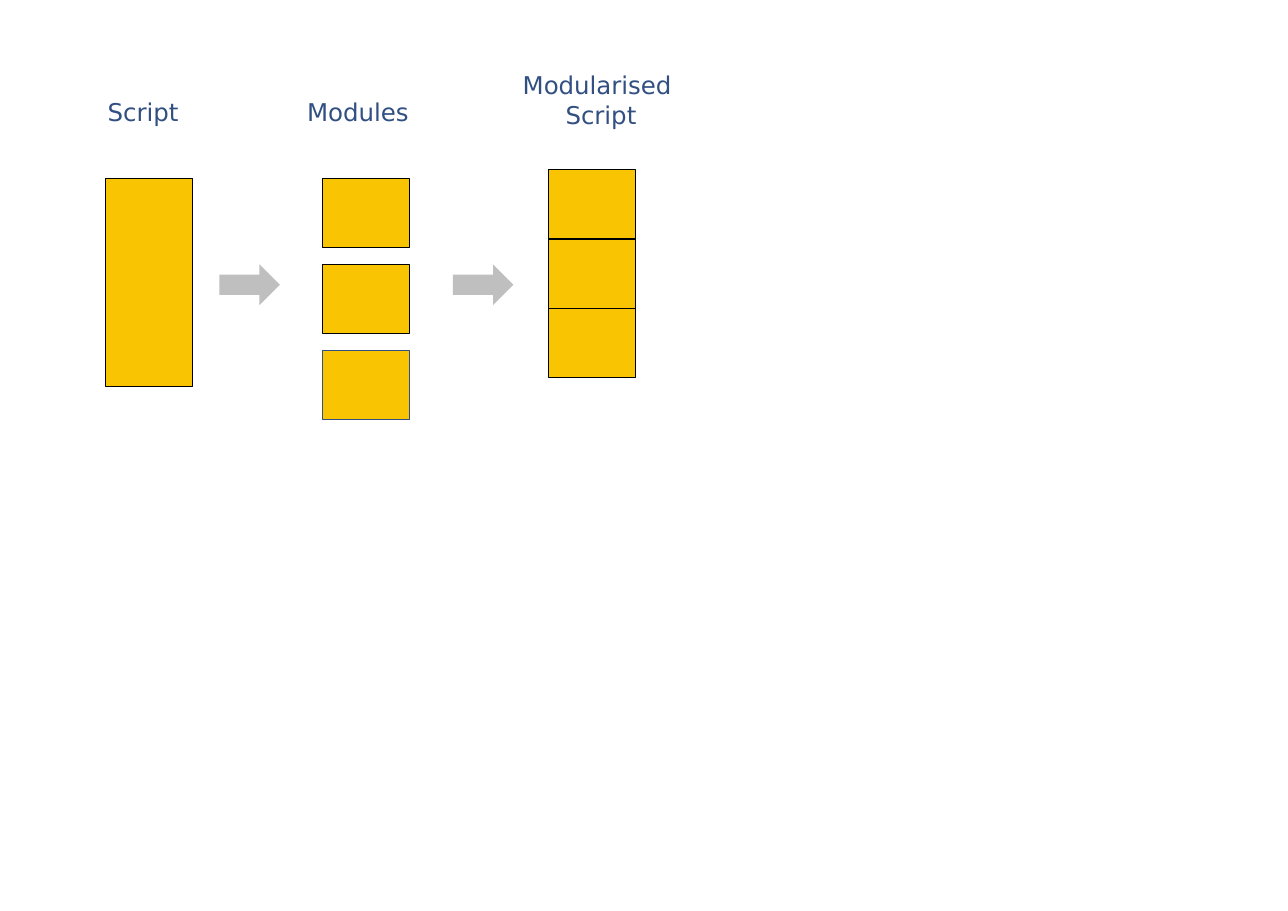
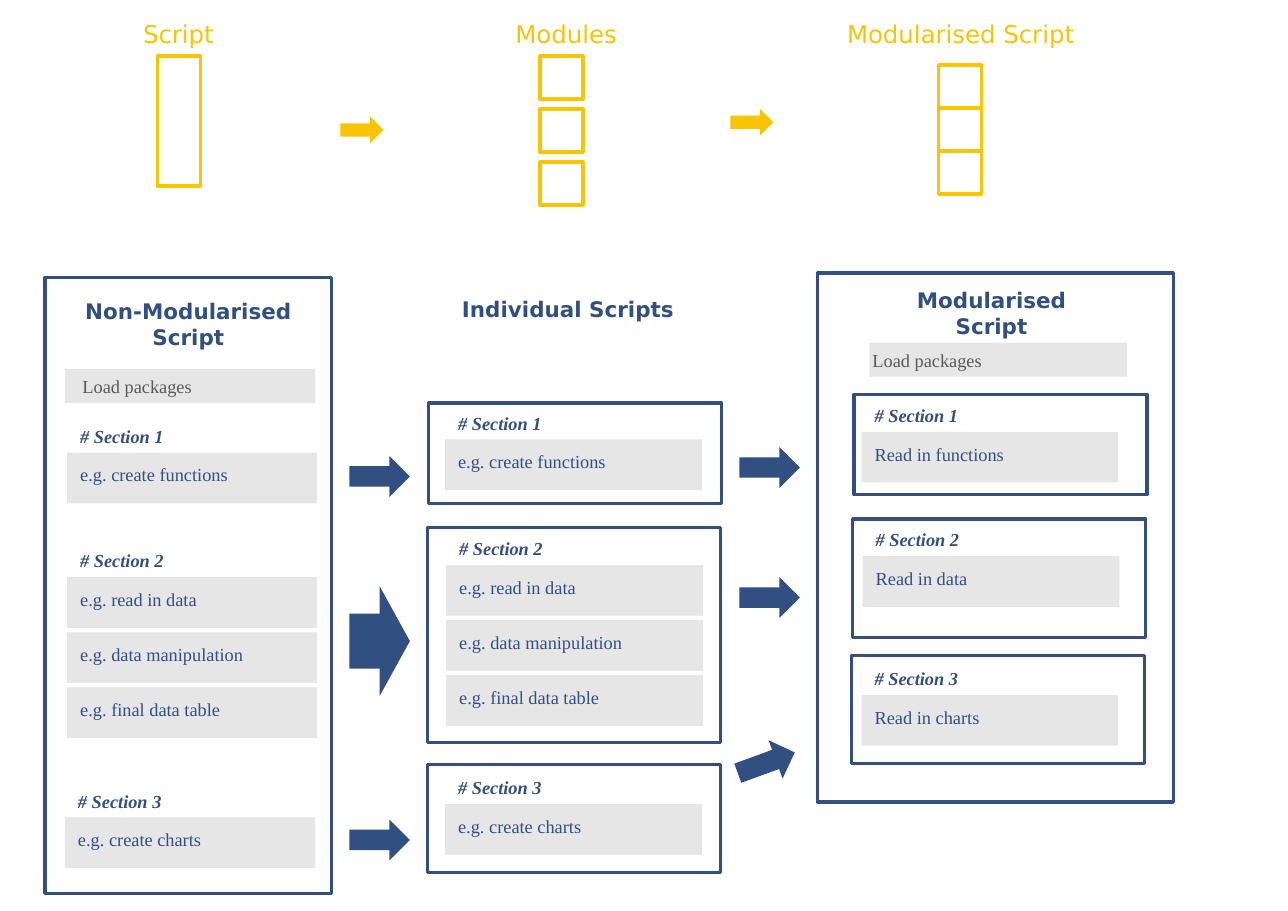
from dataclasses import dataclass

from pptx import Presentation
from pptx.dml.color import RGBColor as Rgb
from pptx.enum.shapes import MSO_SHAPE as Shape
from pptx.enum.text import MSO_AUTO_SIZE as Fit, PP_ALIGN as Align
from pptx.util import Inches, Pt


@dataclass(frozen=True)
class Theme:
    navy: str = "324F82"
    gold: str = "F9C402"
    black: str = "000000"
    grey: str = "595959"
    silver: str = "BFBFBF"
    pale: str = "E6E6E6"
    sans: str = "DejaVu Sans"
    serif: str = "Times New Roman"
    head: int = 16
    title: int = 14
    body: int = 12
    thin: float = 0.75
    thick: float = 2.25


T = Theme()


def place(*sizes):
    return [Inches(size) for size in sizes]


def draw(shapes, at, fill=None, line=None, width=T.thick, kind=Shape.RECTANGLE):
    shape = shapes.add_shape(kind, *place(*at))
    shape.shadow.inherit = False
    if fill:
        shape.fill.solid()
        shape.fill.fore_color.rgb = Rgb.from_string(fill)
    else:
        shape.fill.background()
    if line:
        shape.line.color.rgb = Rgb.from_string(line)
        shape.line.width = Pt(width)
    else:
        shape.line.fill.background()
    return shape


def write(shapes, at, text, size=T.body, font=T.serif, color=T.navy,
          bold=False, slant=False, align=Align.LEFT):
    frame = shapes.add_textbox(*place(*at)).text_frame
    frame.word_wrap = True
    frame.auto_size = Fit.SHAPE_TO_FIT_TEXT
    frame.text = text
    for para in frame.paragraphs:
        para.alignment = align
        for run in para.runs:
            run.font.size = Pt(size)
            run.font.name = font
            run.font.color.rgb = Rgb.from_string(color)
            run.font.bold = bold
            run.font.italic = slant


def head(shapes, at, text, color, align=Align.LEFT):
    write(shapes, at, text, T.head, T.sans, color, align=align)


def title(shapes, at, text):
    write(shapes, at, text, T.title, T.sans, bold=True, align=Align.CENTER)


def arrow(shapes, x, y, color, w=0.55, h=0.37, turn=0):
    shape = draw(shapes, (x, y, w, h), color, kind=Shape.RIGHT_ARROW)
    shape.rotation = turn


def stack(shapes, at, step, lines, fill=None, width=T.thick):
    x, y, w, h = at
    for i, line in enumerate(lines):
        draw(shapes, (x, y + i * step, w, h), fill, line, width)


def load(shapes, bar, x):
    draw(shapes, bar, T.pale)
    write(shapes, (x, bar[1] + 0.01, 1.67, 0.3), "Load packages", color=T.grey)


def parts(shapes, width, rows):
    for num, (x, y, items) in enumerate(rows, 1):
        write(shapes, (x + 0.02, y - 0.3, 1.66, 0.3), f"# Section {num}",
              bold=True, slant=True)
        for i, item in enumerate(items):
            top = y + i * 0.5
            draw(shapes, (x, top, width, 0.46), T.pale)
            write(shapes, (x + 0.02, top + 0.05, 2.2, 0.3), item)


def boxes(shapes, frames):
    for at in frames:
        draw(shapes, at, line=T.navy)


def basic(shapes):
    draw(shapes, (0.96, 1.62, 0.79, 1.89), T.gold, T.black, T.thin)
    stack(shapes, (2.93, 1.62, 0.79, 0.63), 0.78,
          (T.black, T.black, T.navy), T.gold, T.thin)
    stack(shapes, (4.98, 1.54, 0.79, 0.63), 0.63, [T.black] * 3, T.gold, T.thin)
    head(shapes, (0.88, 0.83, 0.94, 0.37), "Script", T.navy)
    head(shapes, (2.69, 0.83, 1.34, 0.37), "Modules", T.navy)
    head(shapes, (4.43, 0.59, 2.05, 0.64), "Modularised \nScript", T.navy,
         Align.CENTER)
    for x in (1.99, 4.11):
        arrow(shapes, x, 2.4, T.silver)


def icons(shapes):
    draw(shapes, (1.43, 0.51, 0.39, 1.18), line=T.gold)
    stack(shapes, (4.9, 0.51, 0.39, 0.39), 0.48, [T.gold] * 3)
    stack(shapes, (8.52, 0.59, 0.39, 0.39), 0.39, [T.gold] * 3)
    head(shapes, (1.2, 0.12, 1.02, 0.37), "Script", T.gold)
    head(shapes, (4.58, 0.12, 1.26, 0.37), "Modules", T.gold)
    head(shapes, (7.34, 0.12, 2.76, 0.37), "Modularised Script", T.gold,
         Align.CENTER)
    for x, y in ((3.09, 1.06), (6.63, 0.99)):
        arrow(shapes, x, y, T.gold, 0.39, 0.24)


def detail(shapes):
    tasks = (
        ("e.g. create functions",),
        ("e.g. read in data", "e.g. data manipulation", "e.g. final data table"),
        ("e.g. create charts",),
    )
    reads = (("Read in functions",), ("Read in data",), ("Read in charts",))

    left = shapes.add_group_shape().shapes
    boxes(left, [(0.41, 2.52, 2.6, 5.59)])
    title(left, (0.54, 2.66, 2.34, 0.34), "Non-Modularised Script")
    load(left, (0.59, 3.35, 2.27, 0.31), 0.65)
    parts(left, 2.27, zip((0.61, 0.61, 0.59), (4.11, 5.24, 7.42), tasks))

    mid = shapes.add_group_shape().shapes
    boxes(mid, [(3.89, 3.66, 2.66, 0.91), (3.88, 4.79, 2.66, 1.95),
                (3.88, 6.94, 2.66, 0.98)])
    title(mid, (4.03, 2.64, 2.25, 0.34), "Individual Scripts")
    parts(mid, 2.33, zip((4.04, 4.05, 4.04), (3.99, 5.13, 7.3), tasks))

    right = shapes.add_group_shape().shapes
    boxes(right, [(7.42, 2.48, 3.23, 4.8), (7.75, 3.58, 2.66, 0.91),
                  (7.74, 4.71, 2.66, 1.08), (7.73, 5.95, 2.66, 0.98)])
    title(right, (7.97, 2.56, 2.06, 0.34), "Modularised Script")
    load(right, (7.89, 3.11, 2.34, 0.31), 7.82)
    parts(right, 2.33, zip((7.82, 7.83, 7.82), (3.92, 5.05, 6.31), reads))

    for x, y in ((3.17, 4.14), (3.17, 7.44), (6.71, 4.06), (6.71, 5.24)):
        arrow(shapes, x, y, T.navy)
    arrow(shapes, 3.17, 5.32, T.navy, h=1)
    arrow(shapes, 6.68, 6.74, T.navy, turn=340)


def main():
    deck = Presentation()
    deck.slide_width, deck.slide_height = place(11.69, 8.27)
    blank = deck.slide_layouts[6]
    basic(deck.slides.add_slide(blank).shapes)
    flow = deck.slides.add_slide(blank).shapes
    icons(flow)
    detail(flow)
    deck.save("out.pptx")


if __name__ == "__main__":
    main()
